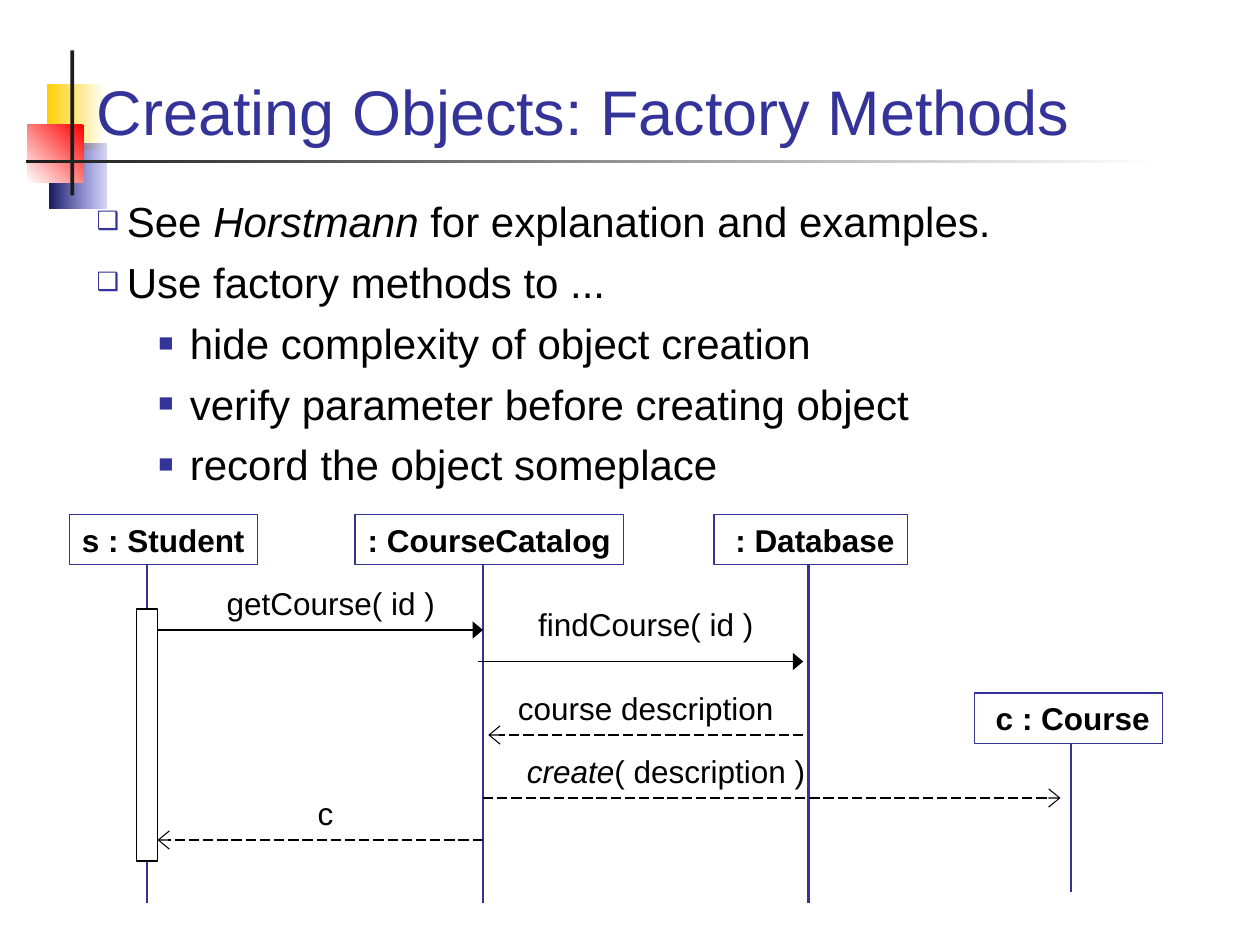
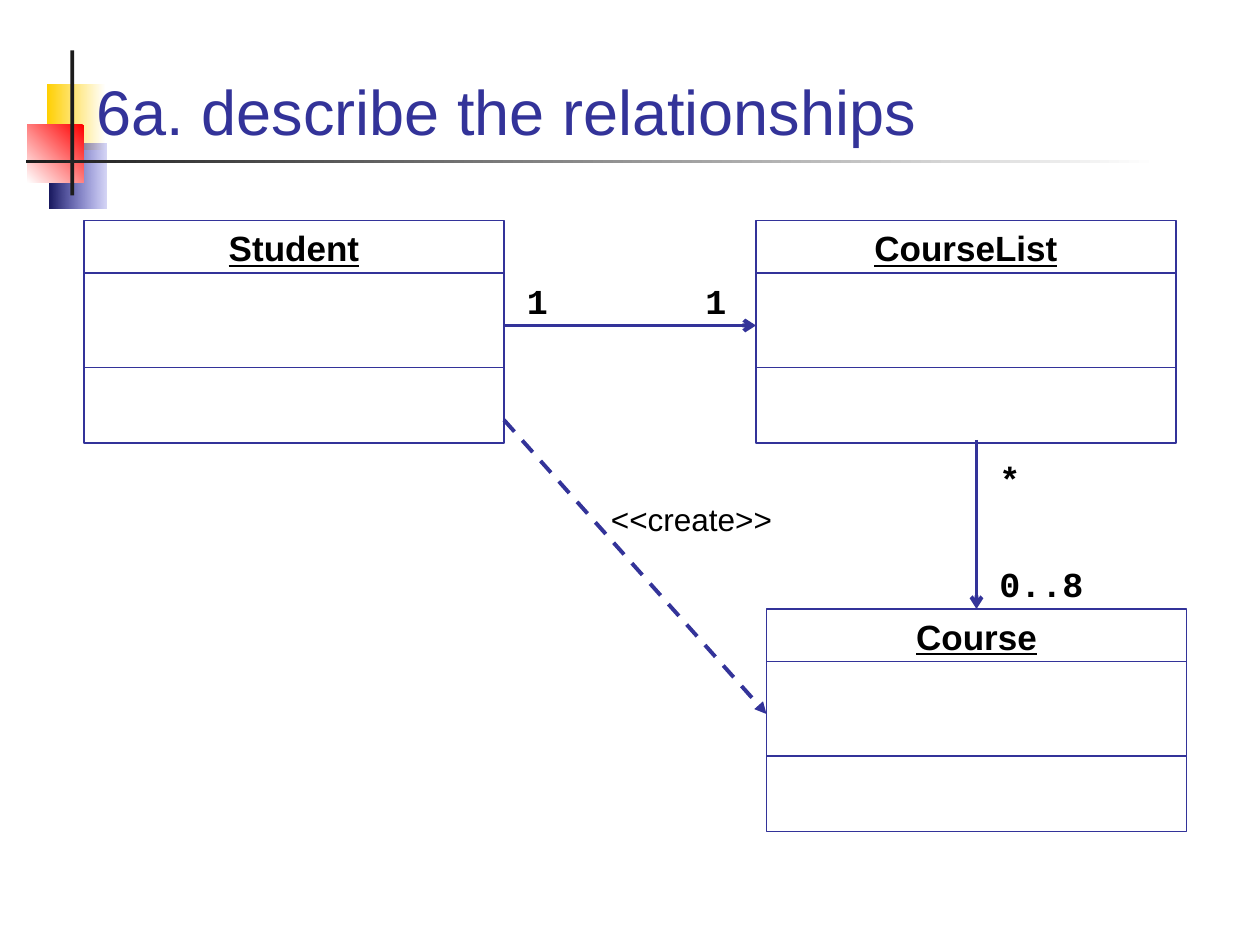
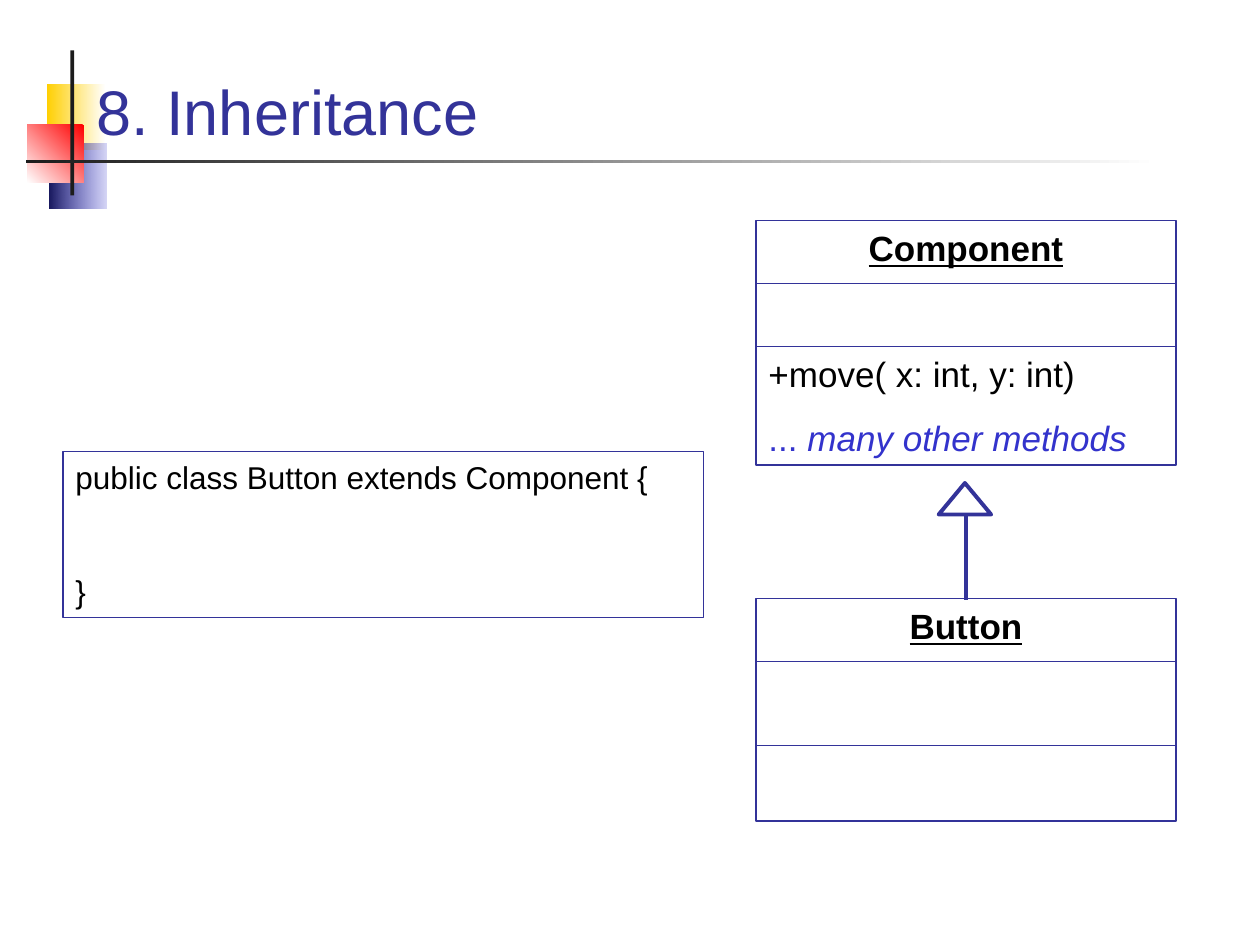
from lxml.etree import SubElement
from pptx import Presentation
from pptx.dml.color import RGBColor
from pptx.enum.dml import MSO_LINE
from pptx.enum.shapes import MSO_CONNECTOR, MSO_SHAPE
from pptx.enum.text import MSO_ANCHOR, MSO_AUTO_SIZE, PP_ALIGN
from pptx.oxml.ns import qn
from pptx.util import Inches, Pt

NAVY = RGBColor(0x33, 0x33, 0x99)
BLUE = RGBColor(0x33, 0x33, 0xCC)
MIDNIGHT = RGBColor(0x17, 0x17, 0x5E)
GOLD = RGBColor(0xFF, 0xCF, 0x01)
RED = RGBColor(0xFF, 0x00, 0x00)
CHARCOAL = RGBColor(0x1C, 0x1C, 0x1C)
BLACK = RGBColor(0x00, 0x00, 0x00)
WHITE = RGBColor(0xFF, 0xFF, 0xFF)

COLUMNS, ROWS = 120, 90
CLASS_WIDTH = 40
LABEL_HEIGHT = 4.8
TITLE_ONLY, TITLE_AND_BODY = 5, 1


class Sheet:
    """Holds the deck's style and the slide being drawn; lengths are grid cells."""

    def __init__(self):
        self.deck = Presentation()
        self.deck.slide_width, self.deck.slide_height = Inches(10), Inches(7.5)
        self.column = self.deck.slide_width / COLUMNS
        self.row = self.deck.slide_height / ROWS
        self.slide = None

    def area(self, left, top, width, height):
        return (round(left * self.column), round(top * self.row),
                round(width * self.column), round(height * self.row))

    def start(self, title, layout=TITLE_ONLY):
        self.slide = self.deck.slides.add_slide(self.deck.slide_layouts[layout])
        frame = self.placeholder(self.slide.shapes.title, (8, 3.3, 104, 11.4))
        frame.vertical_anchor = MSO_ANCHOR.BOTTOM
        self.paragraph(frame, title, 36, color=NAVY)

    def placeholder(self, holder, cells):
        holder.left, holder.top, holder.width, holder.height = self.area(*cells)
        holder.text_frame.auto_size = MSO_AUTO_SIZE.NONE
        holder.text_frame.word_wrap = True
        return holder.text_frame

    def paragraph(self, frame, spans, size, bold=False, underline=False, color=BLACK,
                  align=PP_ALIGN.LEFT, before=0, font="Arial", bullet=None):
        """Fill the empty first paragraph or add one; spans is a text or (text, italic) pairs."""
        first = not frame.text
        para = frame.paragraphs[0] if first else frame.add_paragraph()
        if bullet:
            self.bullet(para, *bullet)
        para.alignment = align
        para.space_before = Pt(0 if first else before)
        para.font.size, para.font.name = Pt(size), font
        para.font.bold, para.font.underline = bold, underline
        para.font.color.rgb = color
        for text, italic in [(spans, False)] if isinstance(spans, str) else spans:
            span = para.add_run()
            span.text = text
            if italic:
                span.font.italic = True

    def bullet(self, para, symbol, level, margin, hanging):
        para.level = level
        properties = para._p.get_or_add_pPr()
        properties.set("marL", str(Inches(margin)))
        properties.set("indent", str(-Inches(hanging)))
        tint = SubElement(properties, qn("a:buClr"))
        SubElement(tint, qn("a:srgbClr"), val=str(NAVY))
        SubElement(properties, qn("a:buSzPct"), val="60000")
        SubElement(properties, qn("a:buChar"), char=symbol)

    def bullets(self, items):
        """List (level, spans) items in the body placeholder."""
        styles = [("❑", 0, 0.24, 0.24), ("■", 1, 0.74, 0.25)]
        frame = self.placeholder(self.slide.placeholders[1], (8, 18, 104, 30))
        for level, spans in items:
            self.paragraph(frame, spans, 24, before=6, bullet=styles[level])

    def shape(self, cells, kind=MSO_SHAPE.RECTANGLE, fill=None, line=NAVY, weight=0.75):
        shape = self.slide.shapes.add_shape(kind, *self.area(*cells))
        shape.shadow.inherit = False
        if fill is None:
            shape.fill.background()
        else:
            shape.fill.solid()
            shape.fill.fore_color.rgb = fill
        if line is None:
            shape.line.fill.background()
        else:
            shape.line.color.rgb = line
            shape.line.width = Pt(weight)
        shape.text_frame.vertical_anchor = MSO_ANCHOR.TOP
        return shape

    def gradient(self, cells, start, end, angle=180):
        shape = self.shape(cells, line=None)
        shape.fill.gradient()
        shape.fill.gradient_angle = angle
        for stop, color in zip(shape.fill.gradient_stops, (start, end)):
            stop.color.rgb = color
        return shape

    def backdrop(self):
        """Draw the squares and rules, then hand them to the slide master."""
        gold = self.gradient((4.45, 8.05, 5.6, 6.2), WHITE, GOLD)
        blue = self.gradient((4.7, 13.7, 5.4, 6.2), BLUE, MIDNIGHT)
        clear_stop = blue.element.xpath(".//a:gs[1]/a:srgbClr")[0]
        SubElement(clear_stop, qn("a:alpha"), val="20000")
        red = self.gradient((2.6, 11.9, 5.4, 5.5), RED, WHITE, 225)
        upright = self.shape((6.7, 4.8, 0.36, 13.8), fill=CHARCOAL, line=None)
        rule = self.gradient((2.5, 15.2, 107.9, 0.36), WHITE, CHARCOAL)
        master = self.deck.slide_master.shapes.element
        for number, shape in enumerate((gold, blue, red, upright, rule), 101):
            shape.element.nvSpPr.cNvPr.set("id", str(number))
            master.append(shape.element)

    def line(self, start, end, color=NAVY, weight=0.75, tip=None, tip_width="med", dash=None):
        left, top, right, bottom = self.area(*start, *end)
        line = self.slide.shapes.add_connector(
            MSO_CONNECTOR.STRAIGHT, left, top, right, bottom)
        line.line.color.rgb = color
        line.line.width = Pt(weight)
        if dash:
            line.line.dash_style = dash
        if tip:
            outline = line.element.spPr.find(qn("a:ln"))
            SubElement(outline, qn("a:tailEnd"), type=tip, w=tip_width)
        SubElement(line.element.spPr, qn("a:effectLst"))

    def label(self, left, top, width, spans, size=18, wrap=True, **style):
        box = self.slide.shapes.add_textbox(*self.area(left, top, width, LABEL_HEIGHT))
        box.text_frame.word_wrap = wrap
        self.paragraph(box.text_frame, spans, size, **style)

    def multiplicity(self, left, top, text):
        """Label a line end in a box that fits its fixed-width letters and margins."""
        self.label(left, top, 2.5 + 2.1 * len(text), text, 20, wrap=False,
                   bold=True, font="Courier New")

    def lifeline(self, left, top, width, name, axis, bottom):
        head = self.shape((left, top, width, LABEL_HEIGHT))
        head.text_frame.word_wrap = False
        self.paragraph(head.text_frame, name, 18, bold=True, align=PP_ALIGN.CENTER)
        self.line((axis, top + LABEL_HEIGHT), (axis, bottom), weight=1.5)

    def message(self, start, end, row):
        self.line((start, row), (end, row), BLACK, tip="triangle", tip_width="lg")

    def dashed_message(self, start, end, row):
        self.line((start, row), (end, row), BLACK, tip="arrow", tip_width="lg",
                  dash=MSO_LINE.LONG_DASH)

    def class_box(self, left, top, name, dividers, height=21.2):
        """Draw a class with its name and rules at the given rows below its top."""
        box = self.shape((left, top, CLASS_WIDTH, height))
        self.paragraph(box.text_frame, name, 20, bold=True, underline=True,
                       align=PP_ALIGN.CENTER)
        for divider in dividers:
            self.line((left, top + divider), (left + CLASS_WIDTH, top + divider))
        return box.text_frame


def factory_methods(sheet):
    sheet.start("Creating Objects: Factory Methods", TITLE_AND_BODY)
    sheet.backdrop()
    sheet.bullets([
        (0, [("See ", False), ("Horstmann", True),
             (" for explanation and examples.", False)]),
        (0, "Use factory methods to ..."),
        (1, "hide complexity of object creation"),
        (1, "verify parameter before creating object"),
        (1, "record the object someplace"),
    ])
    student, catalog, database, course = 14, 46, 77, 102
    sheet.lifeline(6.6, 49, 17.9, "s : Student", student, 86)
    sheet.lifeline(33.8, 49, 25.6, ": CourseCatalog", catalog, 86)
    sheet.lifeline(68, 49, 18.4, " : Database", database, 86)
    sheet.lifeline(92.8, 66, 17.9, " c : Course", course, 85)

    sheet.message(student + 1, catalog, 60)
    sheet.message(catalog - 0.5, database - 0.5, 63)
    sheet.dashed_message(database - 0.5, catalog + 0.5, 70)
    sheet.dashed_message(catalog, course - 1, 76)
    sheet.dashed_message(catalog, student + 1, 80)
    for left, top, text in [(17.5, 55, "getCourse( id )"), (47.5, 57, "findCourse( id )"),
                            (47.5, 65, "course description"), (17, 75, "c")]:
        sheet.label(left, top, 28, text, align=PP_ALIGN.CENTER)
    sheet.label(49, 71, 32, [("create", True), ("( description )", False)])
    sheet.shape((student - 1, 58, 2, 24), fill=WHITE, line=BLACK)


def relationships(sheet):
    sheet.start("6a. describe the relationships")
    for left, top, name in [(8, 21, "Student"), (72, 21, "CourseList"), (73, 58, "Course")]:
        sheet.class_box(left, top, name, (5, 14))
    sheet.line((48, 31), (72, 31), weight=2.25, tip="arrow")
    sheet.line((93, 41.9), (93, 58), weight=2.25, tip="arrow")
    sheet.line((48, 40), (73, 68), weight=2.25, tip="triangle", dash=MSO_LINE.DASH)
    for left, top, text in [(49, 26, "1"), (66, 26, "1"), (94, 43, "*"), (94, 53, "0..8")]:
        sheet.multiplicity(left, top, text)
    sheet.label(57, 47, 20, "<<create>>")


def inheritance(sheet):
    sheet.start("8. Inheritance")
    members = sheet.class_box(72, 21, "Component", (6, 12), height=23.3)
    sheet.paragraph(members, "+move( x: int, y: int)", 20, before=48)
    sheet.paragraph(members, [("... ", False), ("many other methods", True)], 20,
                    color=BLUE, before=12.5)
    sheet.class_box(72, 57, "Button", (6, 14))
    sheet.line((92, 57.1), (92, 49), weight=2.25)
    sheet.shape((89.4, 46, 5, 3), MSO_SHAPE.ISOSCELES_TRIANGLE, weight=2.25)
    code = sheet.shape((6, 43, 61, 15.8)).text_frame
    sheet.paragraph(code, "public class Button extends Component {", 18)
    sheet.paragraph(code, "}", 18, before=44)


def main():
    sheet = Sheet()
    factory_methods(sheet)
    relationships(sheet)
    inheritance(sheet)
    sheet.deck.save("out.pptx")


if __name__ == "__main__":
    main()
